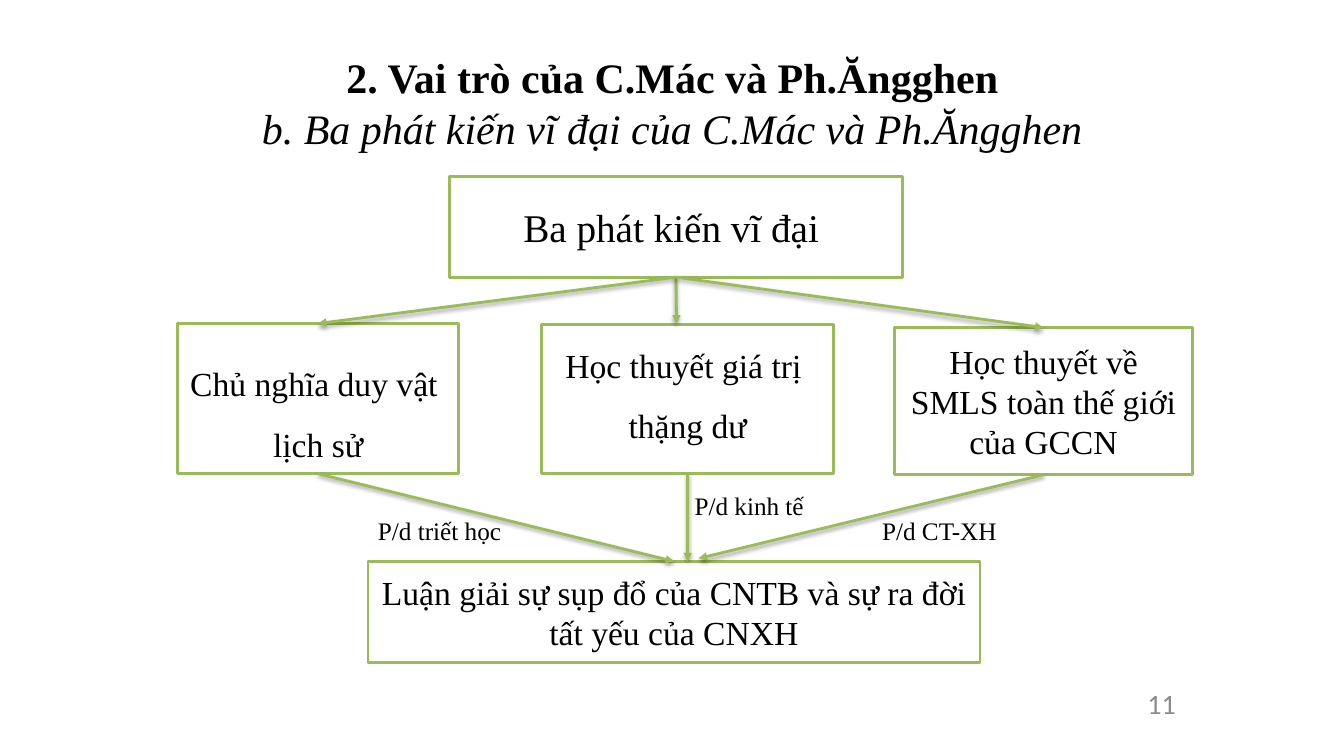
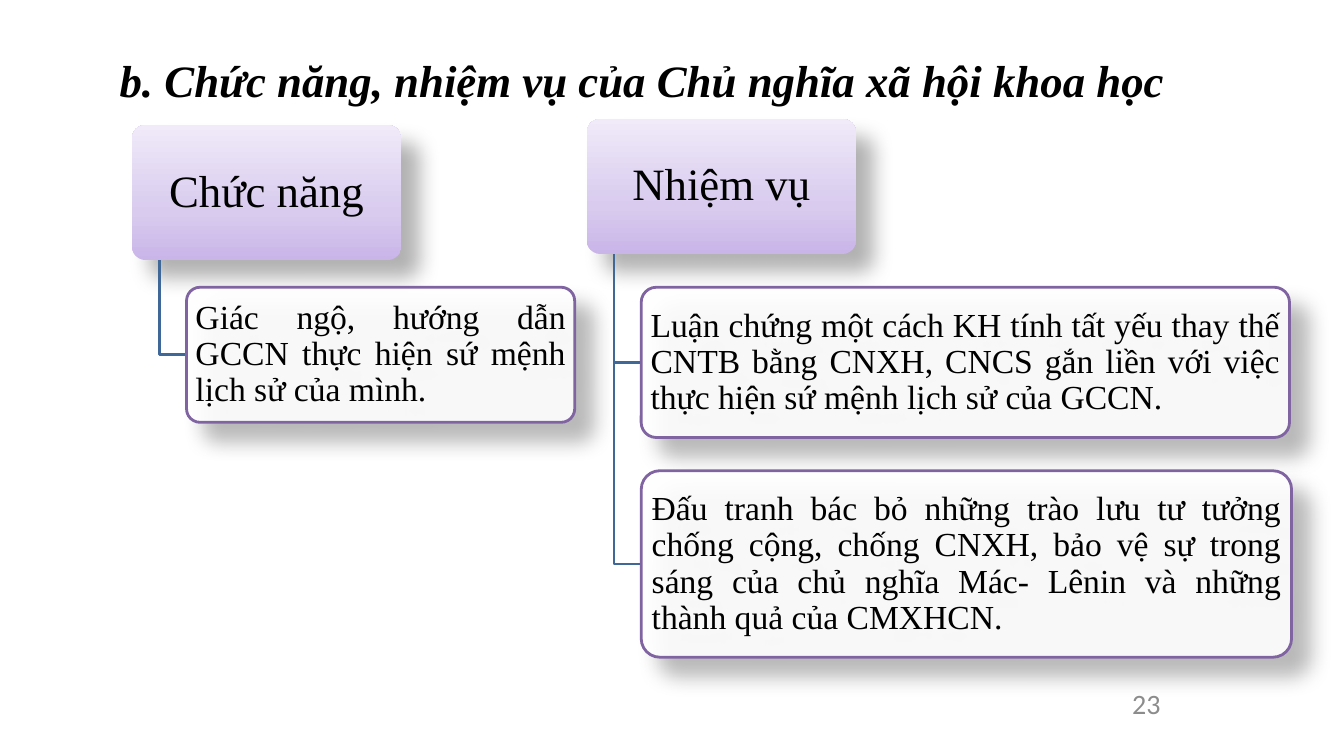
"""Build two slides on scientific socialism: three discoveries, functions and tasks."""
from lxml import etree
from pptx import Presentation
from pptx.dml.color import RGBColor
from pptx.enum.shapes import MSO_CONNECTOR, MSO_SHAPE
from pptx.enum.text import MSO_ANCHOR, MSO_AUTO_SIZE, PP_ALIGN
from pptx.oxml.ns import qn
from pptx.util import Inches, Pt

CENTER, JUSTIFY, LEFT, RIGHT = PP_ALIGN.CENTER, PP_ALIGN.JUSTIFY, PP_ALIGN.LEFT, PP_ALIGN.RIGHT
MIDDLE, TOP = MSO_ANCHOR.MIDDLE, MSO_ANCHOR.TOP
NO_FIT = MSO_AUTO_SIZE.NONE
RECT, ROUNDED = MSO_SHAPE.RECTANGLE, MSO_SHAPE.ROUNDED_RECTANGLE
STRAIGHT = MSO_CONNECTOR.STRAIGHT
TOP_SIDE, BOTTOM_SIDE = 0, 2

BLACK = RGBColor(0x00, 0x00, 0x00)
WHITE = RGBColor(0xFF, 0xFF, 0xFF)
GRAY = RGBColor(0x8C, 0x8C, 0x8C)
GREEN = RGBColor(0x9B, 0xBB, 0x59)
PURPLE = RGBColor(0x80, 0x64, 0xA2)
BLUE = RGBColor(0x3F, 0x67, 0x97)
HEAD_GRADIENT = [
    (0, RGBColor(0xC9, 0xB5, 0xE8)),
    (35, RGBColor(0xD8, 0xCB, 0xEE)),
    (100, RGBColor(0xF0, 0xEA, 0xF9)),
]
SERIF, SANS = "Times New Roman", "Calibri"
LINE_WIDTH = Pt(2)
ARROW_SHADOW = {"alpha": 38, "blur": 3.1, "distance": 1.6, "angle": 90}
CARD_SHADOW = {"alpha": 30, "blur": 15, "distance": 18, "angle": 45}

DISCOVERIES_TITLE = [
    ("2. Vai trò của C.Mác và Ph.Ăngghen", True, False),
    ("b. Ba phát kiến vĩ đại của C.Mác và Ph.Ăngghen", False, True),
]
FUNCTIONS_TITLE = [("b. Chức năng, nhiệm vụ của Chủ nghĩa xã hội khoa học", True, True)]

BOXES = {
    "root": {"at": (4.46, 1.75, 4.49, 1), "lines": ["Ba phát kiến vĩ đại "], "size": 28},
    "philosophy": {"at": (1.76, 3.21, 2.79, 1.49), "lines": ["Chủ nghĩa duy vật ", "lịch sử"],
                   "spacing": 1.5, "insets": (0.1, 0.14, 0.1, 0.05)},
    "economy": {"at": (5.37, 3.22, 2.9, 1.48), "lines": ["Học thuyết giá trị ", "thặng dư"],
                "spacing": 1.5, "insets": (0.1, 0, 0.1, 0.28)},
    "politics": {"at": (8.87, 3.25, 2.96, 1.46),
                 "lines": ["Học thuyết về SMLS toàn thế giới của GCCN"]},
    "conclusion": {"at": (3.65, 5.57, 6.07, 1),
                   "lines": ["Luận giải sự sụp đổ của CNTB và sự ra đời ", "tất yếu của CNXH"]},
}
ARROWS = [
    ("root", (6.71, 3.21)),
    ("root", "philosophy"),
    ("root", "politics"),
    ("economy", (6.82, 5.57)),
    ("philosophy", "conclusion"),
    ("politics", (6.93, 5.54)),
]
BRANCH_LABELS = [
    ("P/d triết học", (3.65, 5.06, 1.48, 0.4)),
    ("P/d kinh tế", (6.79, 4.82, 1.31, 0.4)),
    ("P/d CT-XH", (8.65, 5.06, 1.35, 0.4)),
]

HEAD_SIZE = (2.67, 1.34)
TRUNK_INDENT, CARD_INDENT = 0.27, 0.54
BRANCHES = [
    ("Chức năng", (1.31, 1.24), [
        ("Giác ngộ, hướng dẫn GCCN thực hiện sứ mệnh lịch sử của mình.", 2.85, 3.85, 1.34),
    ]),
    ("Nhiệm vụ", (5.82, 1.18), [
        ("Luận chứng một cách KH tính tất yếu thay thế CNTB bằng CNXH, CNCS gắn liền với "
         "việc thực hiện sứ mệnh lịch sử của GCCN.", 2.85, 6.43, 1.49),
        ("Đấu tranh bác bỏ những trào lưu tư tưởng chống cộng, chống CNXH, bảo vệ sự trong "
         "sáng của chủ nghĩa Mác- Lênin và những thành quả của CMXHCN.", 4.67, 6.45, 1.85),
    ]),
]


def inches(values):
    return [Inches(value) for value in values]


def style_run(run, size, color=BLACK, font=SERIF, bold=False, italic=False):
    run.font.name, run.font.size = font, Pt(size)
    run.font.bold, run.font.italic = bold, italic
    run.font.color.rgb = color


def write(shape, lines, size, align=CENTER, spacing=1, insets=(0.1, 0.05, 0.1, 0.05),
          anchor=MIDDLE, wrap=True, color=BLACK, font=SERIF):
    frame = shape.text_frame
    frame.word_wrap, frame.vertical_anchor = wrap, anchor
    (frame.margin_left, frame.margin_top,
     frame.margin_right, frame.margin_bottom) = inches(insets)
    for index, line in enumerate(lines):
        paragraph = frame.add_paragraph() if index else frame.paragraphs[0]
        paragraph.alignment, paragraph.line_spacing = align, spacing
        run = paragraph.add_run()
        run.text = line
        style_run(run, size, color, font)


def cast_shadow(shape, alpha, blur, distance, angle):
    effects = etree.SubElement(shape._element.spPr, qn("a:effectLst"))
    shadow = etree.SubElement(effects, qn("a:outerShdw"), blurRad=str(Pt(blur)),
                              dist=str(Pt(distance)), dir=str(angle * 60000),
                              algn="ctr", rotWithShape="0")
    tint = etree.SubElement(shadow, qn("a:srgbClr"), val=str(BLACK))
    etree.SubElement(tint, qn("a:alpha"), val=str(alpha * 1000))


def start_slide(deck, title_lines, title_at, title_size, number, number_left):
    slide = deck.slides.add_slide(deck.slide_layouts[5])
    title = slide.shapes.title
    title.left, title.top, title.width, title.height = inches(title_at)
    title.text_frame.auto_size = NO_FIT
    title.text_frame.vertical_anchor = MIDDLE
    paragraph = title.text_frame.paragraphs[0]
    paragraph.alignment = CENTER
    for index, (text, bold, italic) in enumerate(title_lines):
        if index:
            paragraph.add_line_break()
        run = paragraph.add_run()
        run.text = text
        style_run(run, title_size, bold=bold, italic=italic)
    page = slide.shapes.add_textbox(*inches((number_left, 6.78, 3.11, 0.4)))
    write(page, [number], 20, RIGHT, color=GRAY, font=SANS)
    return slide


def add_box(slide, at, lines, size=24, **text_options):
    box = slide.shapes.add_shape(RECT, *inches(at))
    box.shadow.inherit = False
    box.fill.solid()
    box.fill.fore_color.rgb = WHITE
    box.line.color.rgb, box.line.width = GREEN, LINE_WIDTH
    write(box, lines, size, **text_options)
    return box


def add_arrow(slide, boxes, source, target):
    end = (0, 0) if target in boxes else target
    arrow = slide.shapes.add_connector(STRAIGHT, 0, 0, *inches(end))
    arrow.begin_connect(boxes[source], BOTTOM_SIDE)
    if target in boxes:
        arrow.end_connect(boxes[target], TOP_SIDE)
    arrow.line.color.rgb, arrow.line.width = GREEN, LINE_WIDTH
    etree.SubElement(arrow._element.spPr.find(qn("a:ln")), qn("a:tailEnd"), type="triangle")
    cast_shadow(arrow, **ARROW_SHADOW)


def add_head(slide, text, at):
    head = slide.shapes.add_shape(ROUNDED, *inches(at + HEAD_SIZE))
    head.adjustments[0] = 0.1
    head.fill.gradient()
    head.fill.gradient_angle = 90
    stops = head._element.spPr.find(qn("a:gradFill")).find(qn("a:gsLst"))
    for stop in list(stops):
        stops.remove(stop)
    for position, color in HEAD_GRADIENT:
        stop = etree.SubElement(stops, qn("a:gs"), pos=str(position * 1000))
        etree.SubElement(stop, qn("a:srgbClr"), val=str(color))
    head.line.fill.background()
    cast_shadow(head, **CARD_SHADOW)
    write(head, [text], 32, spacing=0.9)


def add_card(slide, text, at):
    card = slide.shapes.add_shape(ROUNDED, *inches(at))
    card.adjustments[0] = 0.1
    card.fill.solid()
    card.fill.fore_color.rgb = WHITE
    tint = card._element.spPr.find(qn("a:solidFill")).find(qn("a:srgbClr"))
    etree.SubElement(tint, qn("a:alpha"), val="90000")
    card.line.color.rgb, card.line.width = PURPLE, LINE_WIDTH
    cast_shadow(card, **CARD_SHADOW)
    write(card, [text], 24, JUSTIFY, 0.9, (0.05, 0.05, 0.05, 0.05))


def add_elbow(slide, x, top, right, bottom):
    x, top, right, bottom = inches((x, top, right, bottom))
    outline = slide.shapes.build_freeform(x, top)
    outline.add_line_segments([(x, bottom), (right, bottom)], close=False)
    elbow = outline.convert_to_shape()
    elbow.shadow.inherit = False
    elbow.fill.background()
    elbow.line.color.rgb, elbow.line.width = BLUE, LINE_WIDTH


def build_discoveries(deck):
    slide = start_slide(deck, DISCOVERIES_TITLE, (0.67, 0.39, 12, 1.25), 30, "11", 8.65)
    boxes = {name: add_box(slide, **box) for name, box in BOXES.items()}
    for source, target in ARROWS:
        add_arrow(slide, boxes, source, target)
    for text, at in BRANCH_LABELS:
        label = slide.shapes.add_textbox(*inches(at))
        write(label, [text], 18, LEFT, anchor=TOP, wrap=False)


def build_functions(deck):
    slide = start_slide(deck, FUNCTIONS_TITLE, (0.62, 0.23, 11.5, 1.11), 32, "23", 8.5)
    for head_text, (left, top), cards in BRANCHES:
        add_head(slide, head_text, (left, top))
        card_left = left + CARD_INDENT
        for text, card_top, width, height in cards:
            add_elbow(slide, left + TRUNK_INDENT, top + HEAD_SIZE[1],
                      card_left, card_top + height / 2)
            add_card(slide, text, (card_left, card_top, width, height))


def main():
    deck = Presentation()
    deck.slide_width, deck.slide_height = inches((13.33, 7.5))
    build_discoveries(deck)
    build_functions(deck)
    deck.save("out.pptx")


if __name__ == "__main__":
    main()
